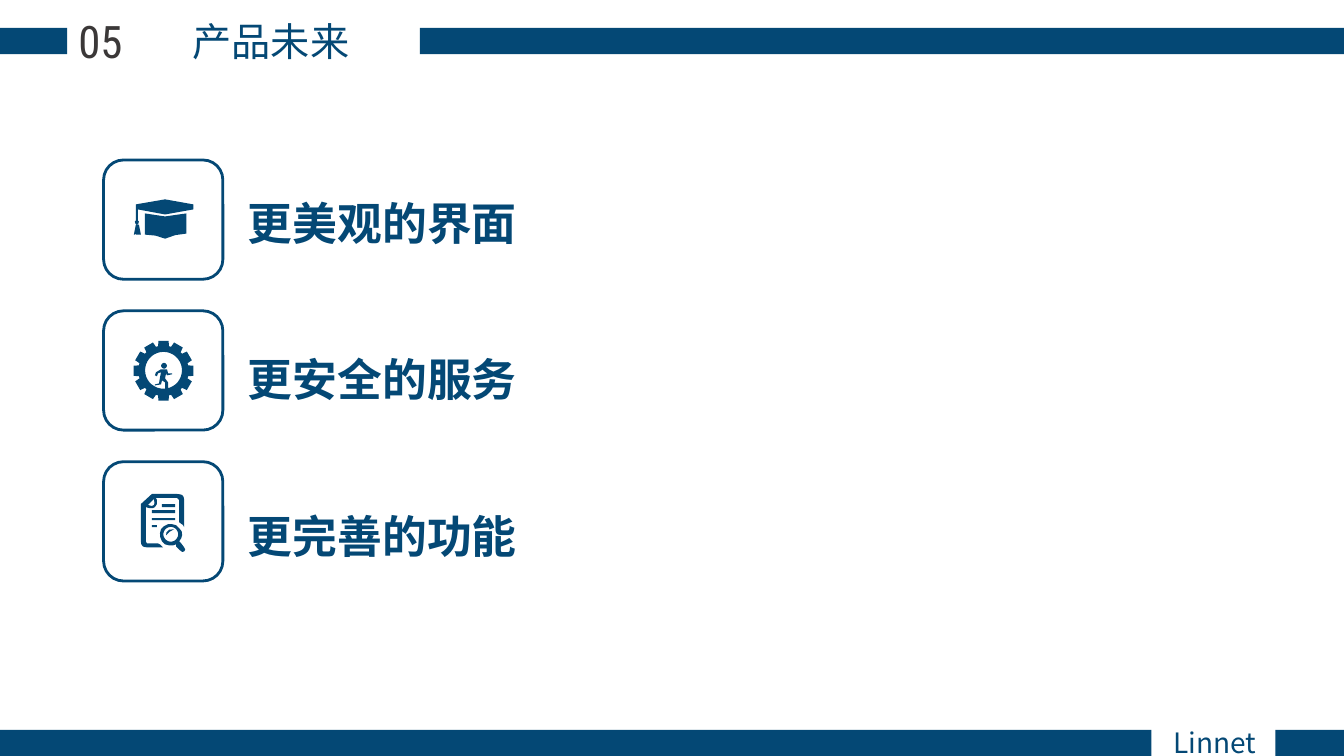
from math import cos, pi, sin

from lxml.etree import SubElement
from pptx import Presentation
from pptx.dml.color import RGBColor
from pptx.enum.shapes import MSO_SHAPE
from pptx.enum.text import PP_ALIGN
from pptx.oxml.ns import qn
from pptx.util import Pt

NAVY = RGBColor(0x04, 0x48, 0x75)
CHARCOAL = RGBColor(0x3B, 0x38, 0x38)
SANS = "Noto Sans CJK SC"
CONDENSED = "Roboto Condensed"

SLIDE_WIDTH, SLIDE_HEIGHT = 960, 540
BAR_HEIGHT = 18.7
HEADER_TOP = 20
FOOTER_TOP = SLIDE_HEIGHT - BAR_HEIGHT
BARS = [
    (0, 48, HEADER_TOP),
    (300, SLIDE_WIDTH, HEADER_TOP),
    (911, SLIDE_WIDTH, FOOTER_TOP),
    (0, 822.5, FOOTER_TOP),
]
HEADINGS = [
    ("产品未来", (64, 8.6, 259, 41), 28, SANS, NAVY),
    ("05", (43.2, 6.5, 57, 46), 32, CONDENSED, CHARCOAL),
    ("Linnet", (808.6, 514.8, 118, 31.5), 20, SANS, NAVY),
]

TILE_LEFT, TILE_TOP, TILE_SIZE, TILE_PITCH = 74, 114.3, 85.2, 107.75
LABEL_LEFT, LABEL_TOP, LABEL_HEIGHT, LABEL_PITCH = 170, 136, 46, 112
ICON_UNIT = 0.72
ICON_STEPS = 10


def circle(center_x, center_y, radius, count=36):
    return [
        (center_x + radius * cos(2 * pi * i / count), center_y + radius * sin(2 * pi * i / count))
        for i in range(count)
    ]


def gear(center_x, center_y, tooth_radius, root_radius, teeth):
    corners = [(root_radius, -12.5), (tooth_radius, -9.5), (tooth_radius, 9.5), (root_radius, 12.5)]
    return [
        (center_x + radius * cos(angle), center_y + radius * sin(angle))
        for tooth in range(teeth)
        for radius, offset in corners
        for angle in [(360 * tooth / teeth + offset) * pi / 180]
    ]


def box(left, top, right, bottom):
    return [(left, top), (right, top), (right, bottom), (left, bottom)]


GRADUATION_CAP = [
    [(41, 74), (51.5, 75), (61, 78), (71, 74.5), (82, 73), (82, 53), (61, 56), (41, 53)],
    [(89, 44), (89, 49), (61, 54), (34, 49), (34, 60), (35, 61), (34.5, 63),
     (33, 64), (31.5, 63), (31, 61), (32, 60), (32, 44), (61, 39)],
    [(35, 64), (32, 64), (30, 74), (31, 74), (32, 73), (32, 74), (34, 74),
     (34, 73), (34, 74), (35, 74), (35, 70), (35, 74), (37, 74)],
]
GEAR_RUNNER = [
    gear(59.5, 59.5, 30, 25, 12),
    circle(59.5, 59, 18.3),
    [(51, 64), (52, 61), (57, 58), (63, 58), (64, 62), (68, 62), (68, 63), (63, 64),
     (62, 62), (61, 67), (64, 71), (64, 77), (61, 77), (61, 71), (58, 69), (57, 73),
     (51, 74), (51, 73), (55, 72), (56, 66), (57, 61), (54, 62), (53, 65)],
    circle(60, 54.5, 2.8),
]
DOCUMENT_SEARCH = [
    [(50, 32), (73, 32), (76, 32.4), (78, 33), (79.5, 35), (80, 38), (80, 65), (79, 63),
     (75, 60), (75, 38), (74, 37), (73, 36), (52, 36), (53, 38), (53, 42), (51, 45),
     (49, 46), (45, 46), (42, 45), (42, 79), (43, 81), (54, 81), (56, 82), (59, 85),
     (44, 85), (41, 84.7), (39, 84), (37.5, 82), (37, 79), (37, 42), (48, 32)],
    box(48, 63, 53, 65),
    box(48, 56, 71, 58),
    box(48, 48, 71, 51),
    box(58, 42, 71, 45),
    [(62, 73), (62.5, 70), (65, 67.5), (70, 67), (65.5, 69.5)],
    [(60, 64), (57, 67), (56, 71), (56.3, 75), (58, 79), (61, 82), (65, 83), (69, 83),
     (72, 82), (72, 84), (76, 88), (78, 89.5), (80, 89), (81, 87), (80, 85), (77, 81),
     (75, 79), (77, 76), (78, 73), (77.5, 69), (75, 66), (72, 63), (68, 62), (64, 62)],
    circle(66.7, 72, 7.3),
    [(50, 37), (44, 43), (48, 44), (50, 43), (50.5, 41)],
]
FEATURES = [
    ("更美观的界面", 301, GRADUATION_CAP),
    ("更安全的服务", 340, GEAR_RUNNER),
    ("更完善的功能", 261, DOCUMENT_SEARCH),
]


def add_text(slide, text, frame, size, font, color, bold=False, align=PP_ALIGN.LEFT):
    text_frame = slide.shapes.add_textbox(*map(Pt, frame)).text_frame
    text_frame.word_wrap = True
    paragraph = text_frame.paragraphs[0]
    paragraph.alignment = align
    run = paragraph.add_run()
    run.text = text
    run.font.size = Pt(size)
    run.font.bold = bold
    run.font.color.rgb = color
    run.font.name = font
    SubElement(run.font._element, qn("a:ea")).set("typeface", font)


def fill_navy(shape):
    shape.shadow.inherit = False
    shape.fill.solid()
    shape.fill.fore_color.rgb = NAVY
    shape.line.fill.background()


def add_icon(slide, contours, left, top):
    outlines = [[(x * ICON_STEPS, y * ICON_STEPS) for x, y in contour] for contour in contours]
    builder = slide.shapes.build_freeform(*outlines[0][0], scale=Pt(ICON_UNIT) / ICON_STEPS)
    for index, outline in enumerate(outlines):
        if index:
            builder.move_to(*outline[0])
        builder.add_line_segments(outline[1:], close=True)
    fill_navy(builder.convert_to_shape(Pt(left), Pt(top)))


def add_tile(slide, left, top):
    tile = slide.shapes.add_shape(
        MSO_SHAPE.ROUNDED_RECTANGLE, Pt(left), Pt(top), Pt(TILE_SIZE), Pt(TILE_SIZE))
    tile.shadow.inherit = False
    tile.fill.background()
    tile.line.color.rgb = NAVY
    tile.line.width = Pt(2)


def main():
    presentation = Presentation()
    presentation.slide_width = Pt(SLIDE_WIDTH)
    presentation.slide_height = Pt(SLIDE_HEIGHT)
    slide = presentation.slides.add_slide(presentation.slide_layouts[6])
    for left, right, top in BARS:
        fill_navy(slide.shapes.add_shape(
            MSO_SHAPE.RECTANGLE, Pt(left), Pt(top), Pt(right - left), Pt(BAR_HEIGHT)))
    for text, frame, size, font, color in HEADINGS:
        add_text(slide, text, frame, size, font, color, align=PP_ALIGN.CENTER)
    for row, (label, width, icon) in enumerate(FEATURES):
        tile_top = TILE_TOP + row * TILE_PITCH
        add_icon(slide, icon, TILE_LEFT, tile_top)
        add_tile(slide, TILE_LEFT, tile_top)
        label_frame = (LABEL_LEFT, LABEL_TOP + row * LABEL_PITCH, width, LABEL_HEIGHT)
        add_text(slide, label, label_frame, 32, SANS, NAVY, bold=True)
    presentation.save("out.pptx")


if __name__ == "__main__":
    main()
